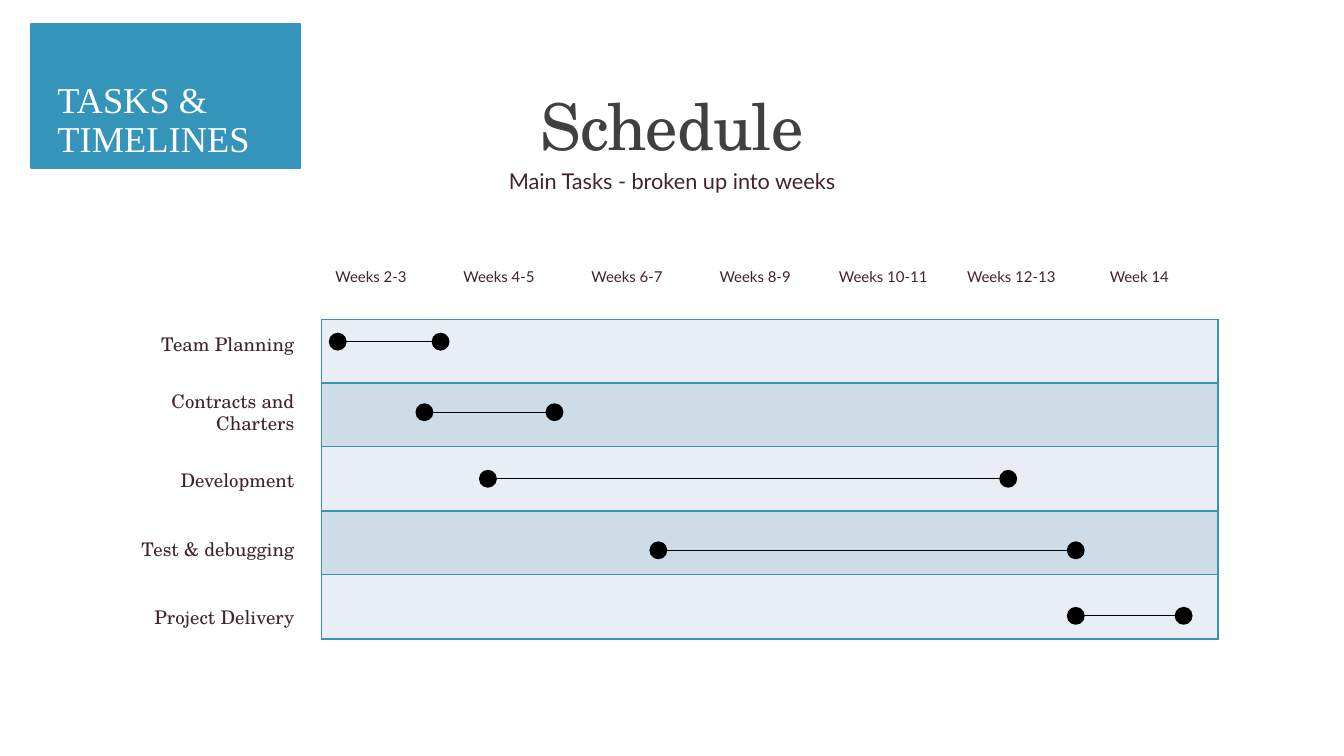
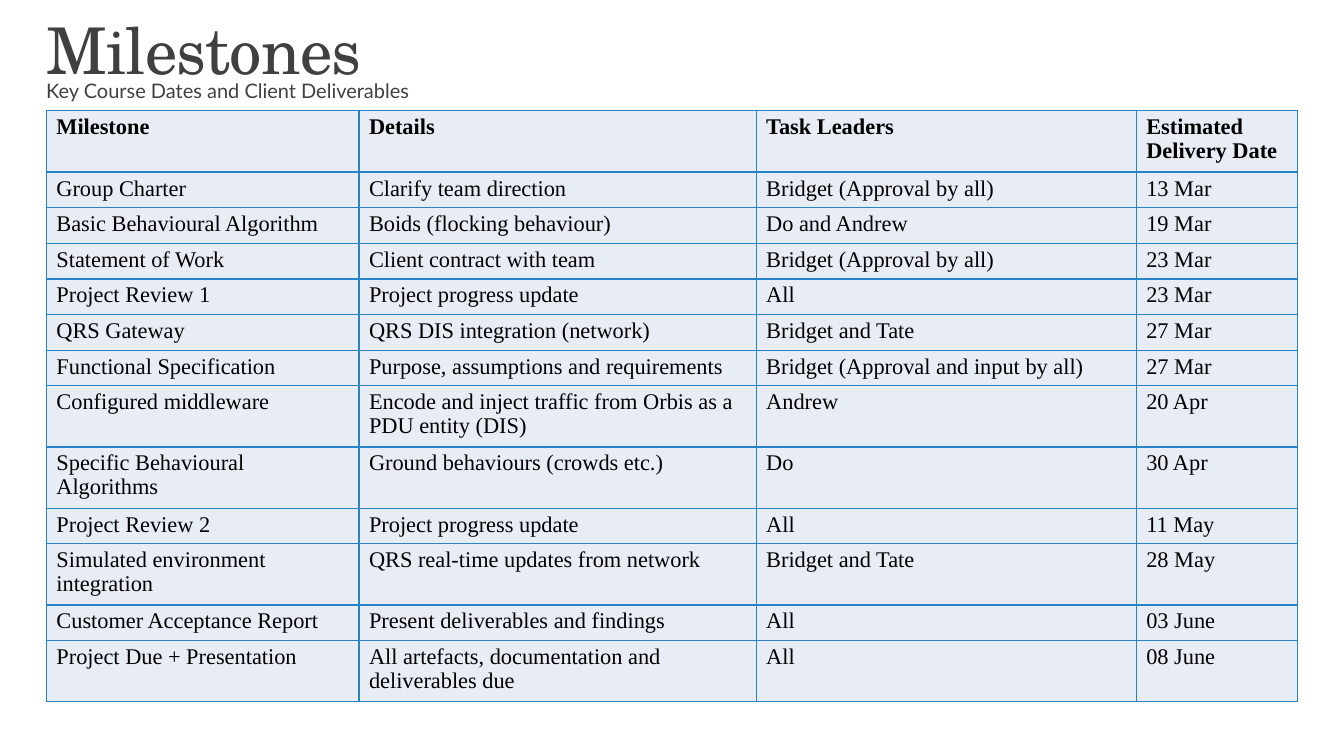
"""Build a schedule slide and a milestones slide."""
import dataclasses

import pptx
import pptx.dml.color
import pptx.enum.shapes
import pptx.enum.text
import pptx.oxml.ns
import pptx.util
from lxml import etree

PX = 9144
LEFT, MID, RIGHT = (pptx.enum.text.PP_ALIGN.LEFT, pptx.enum.text.PP_ALIGN.CENTER,
                    pptx.enum.text.PP_ALIGN.RIGHT)
TOP, CORE, BASE = (pptx.enum.text.MSO_ANCHOR.TOP, pptx.enum.text.MSO_ANCHOR.MIDDLE,
                   pptx.enum.text.MSO_ANCHOR.BOTTOM)
Color = pptx.dml.color.RGBColor.from_string


@dataclasses.dataclass
class Style:
    """Look of one kind of text."""
    size: float
    face: str
    color: str
    align: int = LEFT
    anchor: int = TOP
    lead: float = 1.0
    after: int = 0
    track: int = 0
    pad: tuple = (10, 5)


class Theme:
    """Colours and type shared by the slides."""
    black, teal, blue = "000000", "3494BA", "2683C6"
    pale, mist, ice = "E8EEF3", "CEDCE7", "E8EDF5"
    ink, gray, white = "41242D", "404040", "FFFFFF"
    serif, sans, roman = "TeX Gyre Schola", "Lato", "Times New Roman"
    title = Style(46, serif, gray, lead=0.8, track=-50)
    head = dataclasses.replace(title, align=MID, anchor=BASE)
    note = Style(15.5, sans, ink, MID, lead=0.8, after=2, pad=(0, 5))
    sub = Style(14.3, sans, gray, lead=0.9, after=2)
    week = Style(10.7, sans, ink, MID, CORE, after=2, pad=(0, 5))
    task = Style(13.4, serif, ink, RIGHT, CORE, after=2, pad=(0, 5))
    tag = Style(26, roman, white, lead=0.9, pad=(26, 0))
    cell = 16


def write(slide, box, words, style):
    """Add a text box in a given style."""
    frame = slide.shapes.add_textbox(*[n * PX for n in box]).text_frame
    frame.word_wrap = True
    frame.vertical_anchor = style.anchor
    frame.margin_left = frame.margin_right = style.pad[0] * PX
    frame.margin_top = frame.margin_bottom = style.pad[1] * PX
    para = frame.paragraphs[0]
    run = para.add_run()
    run.text = words
    para.alignment = style.align
    para.line_spacing = style.lead
    para.space_after = pptx.util.Pt(style.after)
    para.font.size = pptx.util.Pt(style.size)
    para.font.name = style.face
    para.font.color.rgb = Color(style.color)
    if style.track:
        run._r.get_or_add_rPr().set("spc", str(style.track))


def grid(slide, spot, cols, rows, line, fills):
    """Add a table with even borders and row fills taken in turn."""
    box = (*spot, sum(cols), sum(rows))
    table = slide.shapes.add_table(len(rows), len(cols), *[n * PX for n in box]).table
    table.first_row = table.horz_banding = False
    for col, wide in zip(table.columns, cols):
        col.width = wide * PX
    for i, (row, high) in enumerate(zip(table.rows, rows)):
        row.height = high * PX
        for cell in row.cells:
            props = cell._tc.get_or_add_tcPr()
            for side in ("lnL", "lnR", "lnT", "lnB"):
                edge = etree.SubElement(props, pptx.oxml.ns.qn("a:" + side), w="12700")
                fill = etree.SubElement(edge, pptx.oxml.ns.qn("a:solidFill"))
                etree.SubElement(fill, pptx.oxml.ns.qn("a:srgbClr"), val=line)
            cell.fill.solid()
            cell.fill.fore_color.rgb = Color(fills[i % len(fills)])
    return table


deck = pptx.Presentation()
deck.slide_width, deck.slide_height = 1333 * PX, 750 * PX
blank = deck.slide_layouts[6]

plan = deck.slides.add_slide(blank)
weeks = ["Weeks 2-3", "Weeks 4-5", "Weeks 6-7", "Weeks 8-9",
         "Weeks 10-11", "Weeks 12-13", "Week 14"]
for i, week in enumerate(weeks):
    write(plan, (307 + 127 * i, 254, 122, 41), week, Theme.week)

write(plan, (220, 91, 893, 76), "Schedule", Theme.head)
write(plan, (220, 167, 893, 32), "Main Tasks - broken up into weeks", Theme.note)

tasks = [
    ("Team Planning", 327, 429, 331),
    ("Contracts and Charters", 413, 542, 401),
    ("Development", 476, 992, 467),
    ("Test & debugging", 645, 1059, 538),
    ("Project Delivery", 1059, 1166, 603),
]
count, high = len(tasks), 317
rows = [high * (i + 1) // count - high * i // count for i in range(count)]
grid(plan, (319, 317), [889], rows, Theme.teal, [Theme.pale, Theme.mist])

dot = 16
for i, (task, start, end, top) in enumerate(tasks):
    write(plan, (102, 321 + 271 * i // 4, 190, 41), task, Theme.task)
    mid = top + dot // 2
    bar = plan.shapes.add_connector(
        pptx.enum.shapes.MSO_CONNECTOR.STRAIGHT,
        (start + dot // 2) * PX, mid * PX, (end + dot // 2) * PX, mid * PX)
    bar.line.color.rgb = Color(Theme.black)
    bar.line.width = pptx.util.Pt(0.75)
    etree.SubElement(bar._element.spPr, pptx.oxml.ns.qn("a:effectLst"))
    for left in (start, end):
        ball = plan.shapes.add_shape(
            pptx.enum.shapes.MSO_SHAPE.OVAL, left * PX, top * PX, dot * PX, dot * PX)
        ball.shadow.inherit = False
        ball.fill.solid()
        ball.fill.fore_color.rgb = ball.line.color.rgb = Color(Theme.black)
        ball.line.width = pptx.util.Pt(1.25)

band = plan.shapes.add_shape(
    pptx.enum.shapes.MSO_SHAPE.RECTANGLE, 31 * PX, 24 * PX, 267 * PX, 143 * PX)
band.shadow.inherit = False
band.fill.solid()
band.fill.fore_color.rgb = band.line.color.rgb = Color(Theme.teal)
band.line.width = pptx.util.Pt(1.25)
write(plan, (31, 81, 267, 86), "TASKS & TIMELINES", Theme.tag)

goals = deck.slides.add_slide(blank)
write(goals, (36, 20, 893, 76), "Milestones", Theme.title)
write(goals, (36, 76, 893, 32), "Key Course Dates and Client Deliverables", Theme.sub)

one, two = 35, 59
items = [
    (two, "Milestone", "Details", "Task Leaders", "Estimated Delivery Date"),
    (one, "Group Charter", "Clarify team direction", "Bridget (Approval by all)", "13 Mar"),
    (one, "Basic Behavioural Algorithm", "Boids (flocking behaviour)", "Do and Andrew", "19 Mar"),
    (one, "Statement of Work", "Client contract with team", "Bridget (Approval by all)", "23 Mar"),
    (one, "Project Review 1", "Project progress update", "All", "23 Mar"),
    (one, "QRS Gateway", "QRS DIS integration (network)", "Bridget and Tate", "27 Mar"),
    (one, "Functional Specification", "Purpose, assumptions and requirements",
     "Bridget (Approval and input by all)", "27 Mar"),
    (two, "Configured middleware", "Encode and inject traffic from Orbis as a PDU entity (DIS)",
     "Andrew", "20 Apr"),
    (two, "Specific Behavioural Algorithms", "Ground behaviours (crowds etc.)", "Do", "30 Apr"),
    (one, "Project Review 2", "Project progress update", "All", "11 May"),
    (two, "Simulated environment integration", "QRS real-time updates from network",
     "Bridget and Tate", "28 May"),
    (one, "Customer Acceptance Report", "Present deliverables and findings", "All", "03 June"),
    (two, "Project Due + Presentation", "All artefacts, documentation and deliverables due",
     "All", "08 June"),
]
table = grid(goals, (46, 110), [310, 394, 377, 160], [item[0] for item in items],
             Theme.blue, [Theme.ice])
for i, (_, *texts) in enumerate(items):
    for j, words in enumerate(texts):
        cell = table.cell(i, j)
        cell.text = words
        para = cell.text_frame.paragraphs[0]
        para.line_spacing = 0.95
        para.font.size = pptx.util.Pt(Theme.cell)
        para.font.name = Theme.roman
        para.font.bold = i == 0
        para.font.color.rgb = Color(Theme.black)

deck.save("out.pptx")
